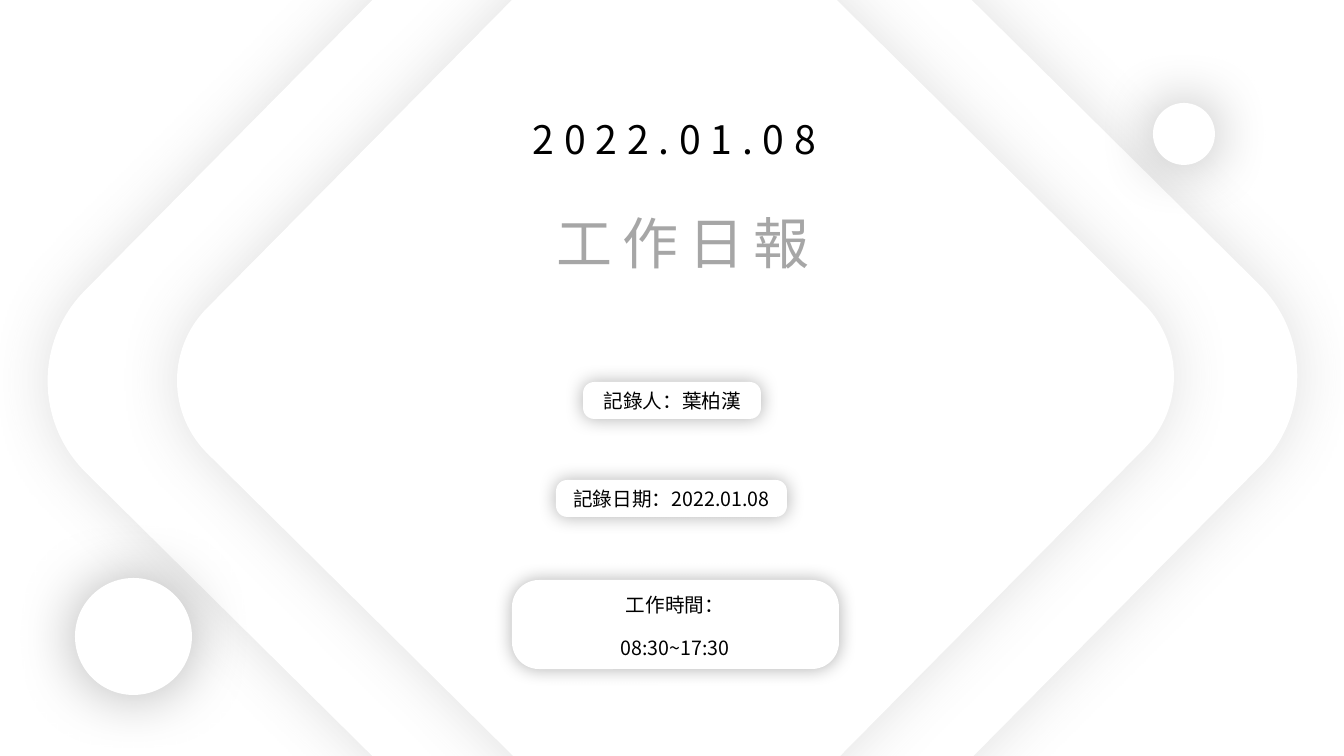
from lxml import etree
from pptx import Presentation
from pptx.dml.color import RGBColor
from pptx.enum.shapes import MSO_SHAPE
from pptx.enum.text import MSO_ANCHOR, PP_ALIGN
from pptx.oxml.ns import qn
from pptx.util import Pt

ROUND, OVAL = MSO_SHAPE.ROUNDED_RECTANGLE, MSO_SHAPE.OVAL
CENTER, MIDDLE = PP_ALIGN.CENTER, MSO_ANCHOR.MIDDLE
PX = 914400 / 100.8
FONT = "Noto Sans CJK SC"
COLORS = {"paper": "FFFFFF", "ink": "000000", "title": "A6A6A6", "haze": "595959"}


def emu(*lengths):
    return [round(n * PX) for n in lengths]


class Deck:
    def __init__(self, width, height):
        self.prs = Presentation()
        self.prs.slide_width, self.prs.slide_height = emu(width, height)
        self.s = self.prs.slides.add_slide(self.prs.slide_layouts[6])
        fill = self.s.background.fill
        fill.solid()
        fill.fore_color.rgb = self.color("paper")

    def color(self, name):
        return RGBColor.from_string(COLORS[name])

    def shadow(self, sp, color, alpha, blur):
        """Soft glow on all sides; alpha in percent, blur in points."""
        sp.shadow.inherit = False
        effects = sp._element.spPr.find(qn("a:effectLst"))
        outer = etree.SubElement(effects, qn("a:outerShdw"), blurRad=str(Pt(blur)),
                                 dist="0", dir="0", algn="ctr", rotWithShape="0")
        clr = etree.SubElement(outer, qn("a:srgbClr"), val=COLORS[color])
        etree.SubElement(clr, qn("a:alpha"), val=str(alpha * 1000))

    def shape(self, kind, box, glow, radius=None, rotation=0, parent=None):
        sp = (parent or self.s).shapes.add_shape(kind, *emu(*box))
        sp.fill.solid()
        sp.fill.fore_color.rgb = self.color("paper")
        sp.line.fill.background()
        sp.rotation = rotation
        if radius is not None:
            sp.adjustments[0] = radius
        self.shadow(sp, *glow)

    def text(self, box, lines, size, color="ink", tracking=0, gap=0, parent=None):
        tf = (parent or self.s).shapes.add_textbox(*emu(*box)).text_frame
        tf.word_wrap = True
        tf.vertical_anchor = MIDDLE
        tf.text = lines
        for i, p in enumerate(tf.paragraphs):
            p.alignment = CENTER
            if i:
                p.space_before = Pt(gap)
            for r in p.runs:
                r.font.size = Pt(size)
                r.font.name = FONT
                r.font.color.rgb = self.color(color)
                rPr = r.font._element
                etree.SubElement(rPr, qn("a:ea"), typeface=FONT)
                if tracking:
                    rPr.set("spc", str(tracking * 100))

    def badge(self, box, text_box, lines):
        group = self.s.shapes.add_group_shape()
        self.shape(ROUND, box, ("ink", 30, 13), radius=0.302, parent=group)
        self.text(text_box, lines, 14, gap=13.5, parent=group)


def main():
    deck = Deck(1344, 756)

    # Nested diamonds
    for x, y, side in ((193, -101, 959), (293, -4, 765)):
        deck.shape(ROUND, (x, y, side, side), ("haze", 19, 43), radius=0.134, rotation=44.7)

    # Date and title
    deck.text((268, 110, 813, 57), "2022.01.08", 28, tracking=7)
    deck.text((444, 203, 479, 78), "工作日報", 40, color="title", tracking=7)

    # Floating discs
    for x, y, size in ((75, 578, 117), (1153, 103, 62)):
        deck.shape(OVAL, (x, y, size, size), ("ink", 30, 43))

    # Record badges
    deck.badge((583, 382, 178, 37), (567, 384, 211, 34), "記錄人：葉柏漢")
    deck.badge((556, 480, 231, 37), (550, 482, 243, 34), "記錄日期：2022.01.08")
    deck.badge((512, 580, 327, 89), (503, 585, 344, 82), "工作時間：\n08:30~17:30")

    deck.prs.save("out.pptx")


if __name__ == "__main__":
    main()
